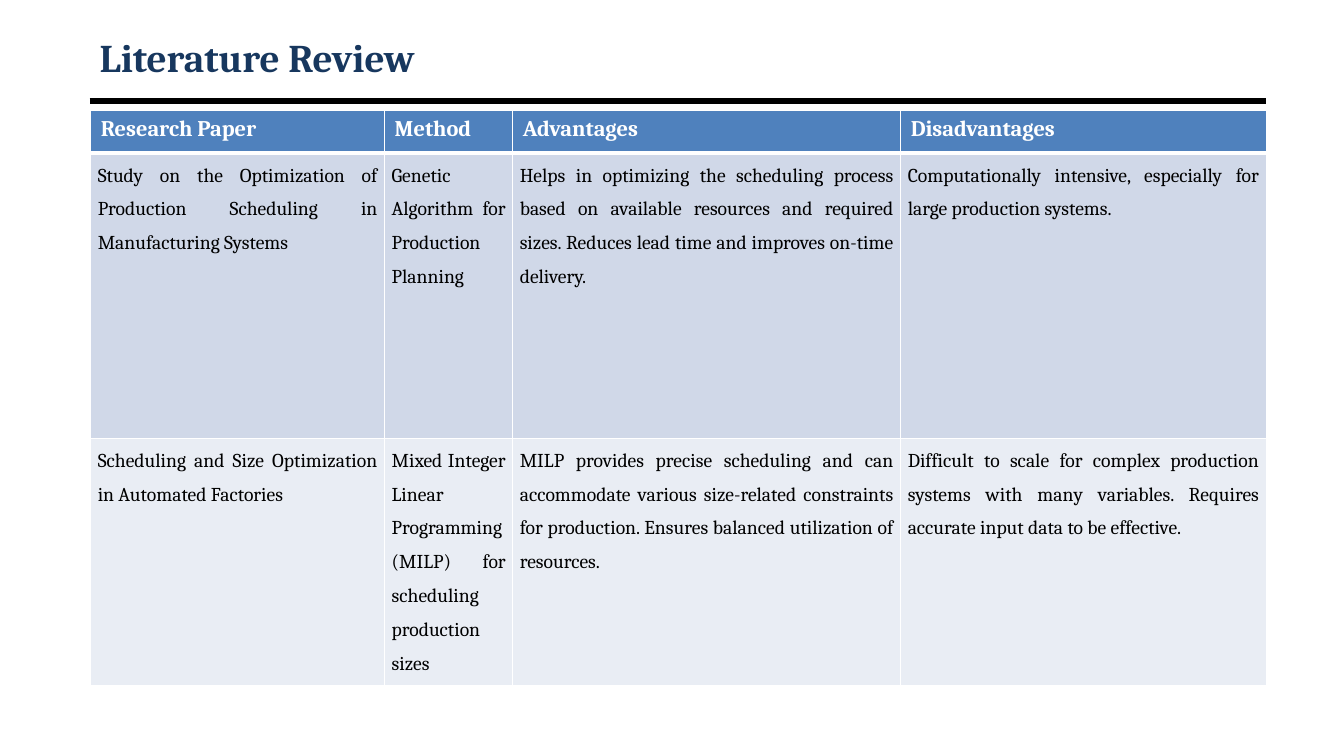
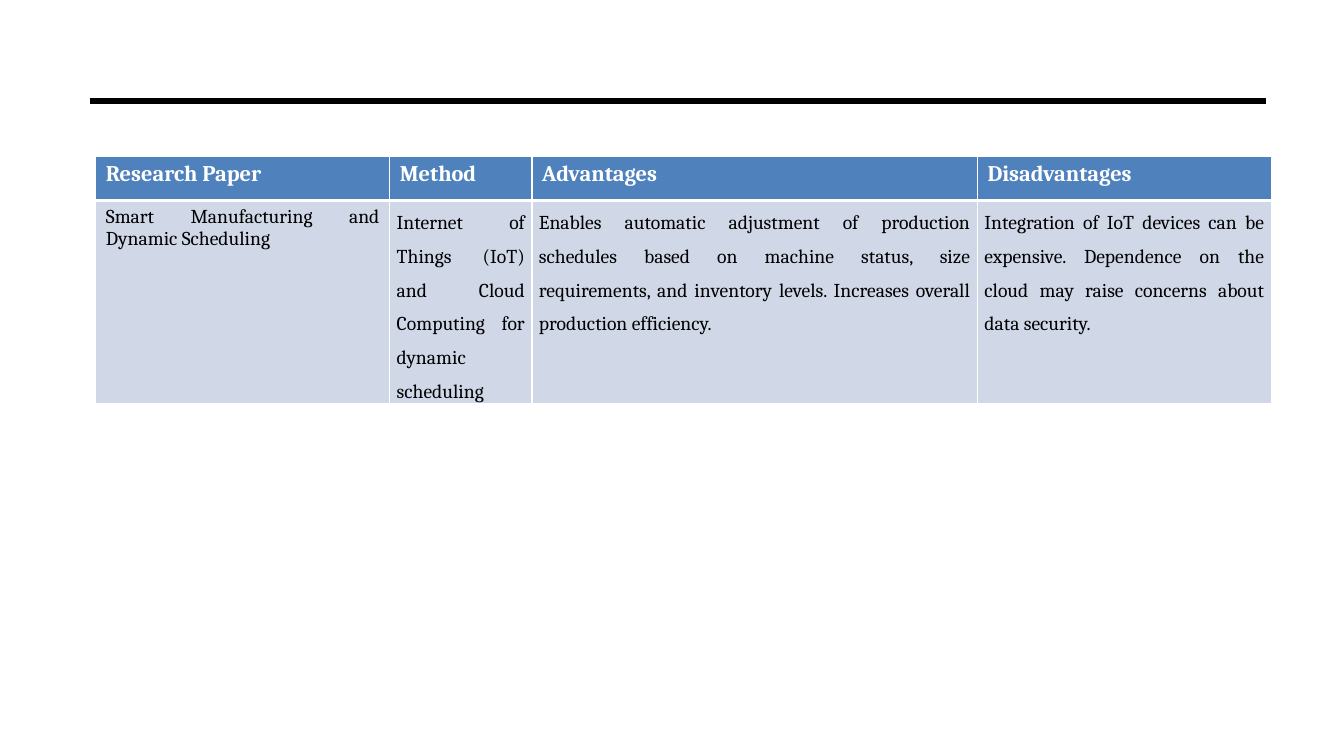
from dataclasses import dataclass

from lxml.etree import SubElement
from pptx import Presentation
from pptx.dml.color import RGBColor
from pptx.enum.shapes import MSO_CONNECTOR as Connector
from pptx.enum.text import MSO_ANCHOR as Anchor, PP_ALIGN as Align
from pptx.oxml.ns import qn
from pptx.util import Inches, Length, Pt

WIDTH, HEIGHT = 13.33, 7.5
FONT = "Cambria"
NAVY, BLUE, PALE_BLUE, PALE_GREY = "17375E", "4F81BD", "D0D8E8", "E9EDF4"
WHITE, BLACK = "FFFFFF", "000000"
RULE_LEFT, RULE_WIDTH, RULE_TOP = 0.89, 11.67, 1
TABLE_WIDTH = 11.66
HEADINGS = ("Research Paper", "Method", "Advantages", "Disadvantages")


@dataclass(frozen=True)
class Study:
    paper: str
    method: str
    advantages: str
    disadvantages: str
    height: float
    compact_paper: bool = False


@dataclass(frozen=True)
class ReviewPage:
    title: str
    left: float
    top: float
    column_percents: tuple[float, ...]
    header_height: float
    studies: tuple[Study, ...]


PAGES = (
    ReviewPage(
        "Literature Review", 0.9, 1.1, (25, 10.9, 33, 31.1), 0.42,
        (
            Study(
                "Study on the Optimization of Production Scheduling in Manufacturing Systems",
                "Genetic Algorithm for Production Planning",
                "Helps in optimizing the scheduling process based on available resources "
                "and required sizes. Reduces lead time and improves on-time delivery.",
                "Computationally intensive, especially for large production systems.",
                2.83,
            ),
            Study(
                "Scheduling and Size Optimization in Automated Factories",
                "Mixed Integer Linear Programming (MILP) for scheduling production sizes",
                "MILP provides precise scheduling and can accommodate various size-related "
                "constraints for production. Ensures balanced utilization of resources.",
                "Difficult to scale for complex production systems with many variables. "
                "Requires accurate input data to be effective.",
                2.18,
            ),
        ),
    ),
    ReviewPage(
        "", 0.95, 1.55, (25, 12.1, 37.9, 25), 0.44,
        (
            Study(
                "Smart Manufacturing and Dynamic Scheduling",
                "Internet of Things (IoT) and Cloud Computing for dynamic scheduling",
                "Enables automatic adjustment of production schedules based on machine "
                "status, size requirements, and inventory levels. Increases overall "
                "production efficiency.",
                "Integration of IoT devices can be expensive. Dependence on the cloud may "
                "raise concerns about data security.",
                1.76,
                compact_paper=True,
            ),
        ),
    ),
)


def color(value: str) -> RGBColor:
    return RGBColor.from_string(value)


def across(share: float) -> Length:
    return Inches(WIDTH * share)


def down(share: float) -> Length:
    return Inches(HEIGHT * share)


def style_text(para, size: float, ink: str, bold: bool) -> None:
    for span in para.runs:
        span.font.name = FONT
        span.font.size = Pt(size)
        span.font.bold = bold
        span.font.color.rgb = color(ink)


def draw_rule(page) -> None:
    y = down(RULE_TOP / HEIGHT)
    left, right = across(RULE_LEFT / WIDTH), across((RULE_LEFT + RULE_WIDTH) / WIDTH)
    rule = page.shapes.add_connector(Connector.STRAIGHT, left, y, right, y)
    rule.line.color.rgb = color(BLACK)
    rule.line.width = Pt(4.5)
    SubElement(rule._element.spPr, qn("a:effectLst"))


def draw_title(page, title: str) -> None:
    box = page.shapes.add_textbox(
        across(RULE_LEFT / WIDTH), down(0.04), across(RULE_WIDTH / WIDTH), down(0.07)
    )
    frame = box.text_frame
    frame.word_wrap = True
    frame.vertical_anchor = Anchor.MIDDLE
    frame.text = title
    style_text(frame.paragraphs[0], 28, NAVY, True)


def set_borders(cell, top: float, bottom: float) -> None:
    properties = cell._tc.get_or_add_tcPr()
    for side, width in (("L", 1), ("R", 1), ("T", top), ("B", bottom)):
        line = SubElement(properties, qn(f"a:ln{side}"), w=str(Pt(width)))
        SubElement(SubElement(line, qn("a:solidFill")), qn("a:srgbClr"), val=WHITE)


def fill_cell(cell, text: str, row: int, compact: bool) -> None:
    header = row == 0
    set_borders(cell, top=3 if row == 1 else 1, bottom=3 if header else 1)
    cell.fill.solid()
    cell.fill.fore_color.rgb = color(BLUE if header else PALE_BLUE if row % 2 else PALE_GREY)
    cell.text_frame.text = text
    para = cell.text_frame.paragraphs[0]
    para.alignment = Align.JUSTIFY
    style_text(para, 16 if header else 14, WHITE if header else BLACK, header)
    if not header and not compact:
        para.line_spacing = 1.5
        cell.margin_left = cell.margin_right = Inches(0.07)
        cell.margin_top = cell.margin_bottom = 0


def draw_table(page, review: ReviewPage) -> None:
    heights = (review.header_height, *(study.height for study in review.studies))
    table = page.shapes.add_table(
        len(heights), len(HEADINGS),
        across(review.left / WIDTH), down(review.top / HEIGHT),
        across(TABLE_WIDTH / WIDTH), down(sum(heights) / HEIGHT),
    ).table
    for column, percent in zip(table.columns, review.column_percents):
        column.width = across(TABLE_WIDTH / WIDTH * percent / 100)
    for row, height in zip(table.rows, heights):
        row.height = down(height / HEIGHT)
    for index, heading in enumerate(HEADINGS):
        fill_cell(table.cell(0, index), heading, 0, False)
    for row, study in enumerate(review.studies, start=1):
        texts = (study.paper, study.method, study.advantages, study.disadvantages)
        for index, text in enumerate(texts):
            fill_cell(table.cell(row, index), text, row, study.compact_paper and index == 0)


def main() -> None:
    deck = Presentation()
    deck.slide_width, deck.slide_height = Inches(WIDTH), Inches(HEIGHT)
    for review in PAGES:
        page = deck.slides.add_slide(deck.slide_layouts[6])
        draw_rule(page)
        if review.title:
            draw_title(page, review.title)
        draw_table(page, review)
    deck.save("out.pptx")


if __name__ == "__main__":
    main()
